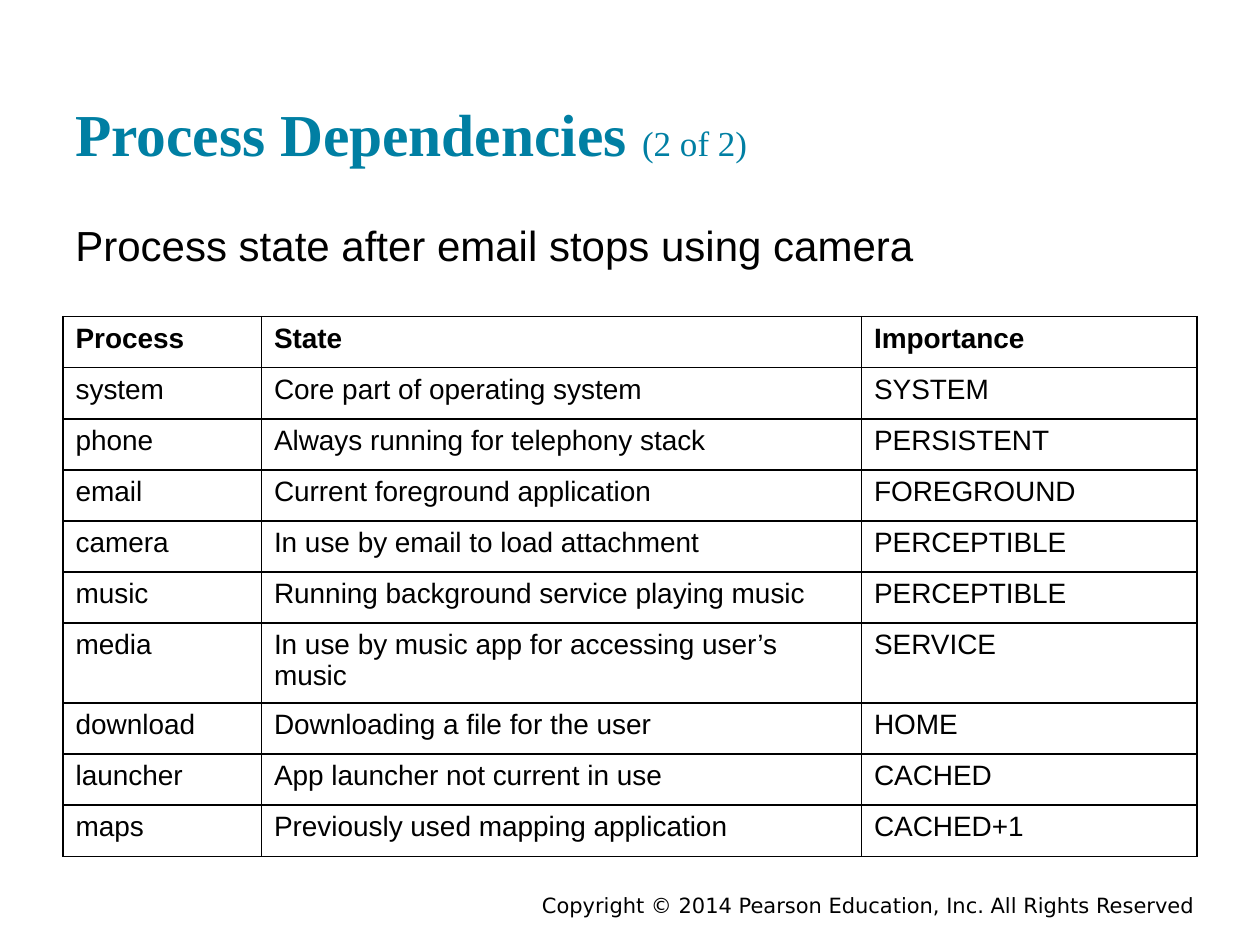
from lxml import etree
from pptx import Presentation
from pptx.dml import color
from pptx.enum import text
from pptx.oxml import ns
from pptx.util import Pt

BLACK = "000000"
TEAL = "007FA3"
COLUMN_WIDTHS = (113.4, 342.9, 191.7)
ROW_HEIGHT = 29.2
TALL_ROW_HEIGHT = 42.3
PROCESSES = (
    ("Process", "State", "Importance"),
    ("system", "Core part of operating system", "SYSTEM"),
    ("phone", "Always running for telephony stack", "PERSISTENT"),
    ("email", "Current foreground application", "FOREGROUND"),
    ("camera", "In use by email to load attachment", "PERCEPTIBLE"),
    ("music", "Running background service playing music", "PERCEPTIBLE"),
    ("media", "In use by music app for accessing user’s music", "SERVICE"),
    ("download", "Downloading a file for the user", "HOME"),
    ("launcher", "App launcher not current in use", "CACHED"),
    ("maps", "Previously used mapping application", "CACHED+1"),
)


def rgb(value):
    return color.RGBColor.from_string(value)


def set_attributes(target, values):
    for name, value in values.items():
        setattr(target, name, value)


def add_run(paragraph, wording, size, font="Arial", fill=BLACK, bold=False):
    run = paragraph.add_run()
    run.text = wording
    set_attributes(run.font, {"size": Pt(size), "name": font, "bold": bold})
    run.font.color.rgb = rgb(fill)


def add_text_box(slide, box, padding, anchor=text.MSO_ANCHOR.TOP):
    frame = slide.shapes.add_textbox(*map(Pt, box)).text_frame
    set_attributes(frame, {
        "word_wrap": True,
        "vertical_anchor": anchor,
        "margin_left": Pt(7.2),
        "margin_right": Pt(7.2),
        "margin_top": Pt(padding),
        "margin_bottom": Pt(padding),
    })
    return frame.paragraphs[0]


def add_title(slide, box):
    paragraph = add_text_box(slide, box, 7.2, text.MSO_ANCHOR.BOTTOM)
    add_run(paragraph, "Process Dependencies ", 34, "Times New Roman", TEAL, True)
    add_run(paragraph, "(2 of 2)", 20, "Times New Roman", TEAL)


def add_subtitle(slide, box):
    paragraph = add_text_box(slide, box, 7.2)
    add_run(paragraph, "Process state after email stops using camera", 24)


def add_footer(slide, box):
    paragraph = add_text_box(slide, box, 3.6)
    paragraph.alignment = text.PP_ALIGN.RIGHT
    add_run(paragraph, "Copyright © 2014 Pearson Education, Inc. All Rights Reserved",
            12, "DejaVu Sans")


def add_borders(cell):
    properties = cell._tc.get_or_add_tcPr()
    for position, side in enumerate(("a:lnL", "a:lnR", "a:lnT", "a:lnB")):
        line = etree.Element(ns.qn(side), w=str(Pt(1)))
        fill = etree.SubElement(line, ns.qn("a:solidFill"))
        etree.SubElement(fill, ns.qn("a:srgbClr"), val=BLACK)
        properties.insert(position, line)


def add_process_table(slide, box):
    frame = slide.shapes.add_table(len(PROCESSES), len(COLUMN_WIDTHS), *map(Pt, box))
    table = frame.table
    set_attributes(table, {"first_row": True, "horz_banding": False})
    for column, width in zip(table.columns, COLUMN_WIDTHS):
        column.width = Pt(width)
    for row_index, (row, process) in enumerate(zip(table.rows, PROCESSES)):
        row.height = Pt(TALL_ROW_HEIGHT if process[0] == "media" else ROW_HEIGHT)
        for cell, wording in zip(row.cells, process):
            cell.fill.background()
            add_borders(cell)
            add_run(cell.text_frame.paragraphs[0], wording, 16, bold=row_index == 0)


def main():
    presentation = Presentation()
    set_attributes(presentation, {"slide_width": Pt(720), "slide_height": Pt(540)})
    slide = presentation.slides.add_slide(presentation.slide_layouts[6])
    add_footer(slide, (126, 506.2, 563.8, 15.8))
    add_title(slide, (36, 17.3, 648, 86.4))
    add_subtitle(slide, (36, 118.1, 648, 45.4))
    add_process_table(slide, (36, 180.9, 648, 305.1))
    presentation.save("out.pptx")


if __name__ == "__main__":
    main()
